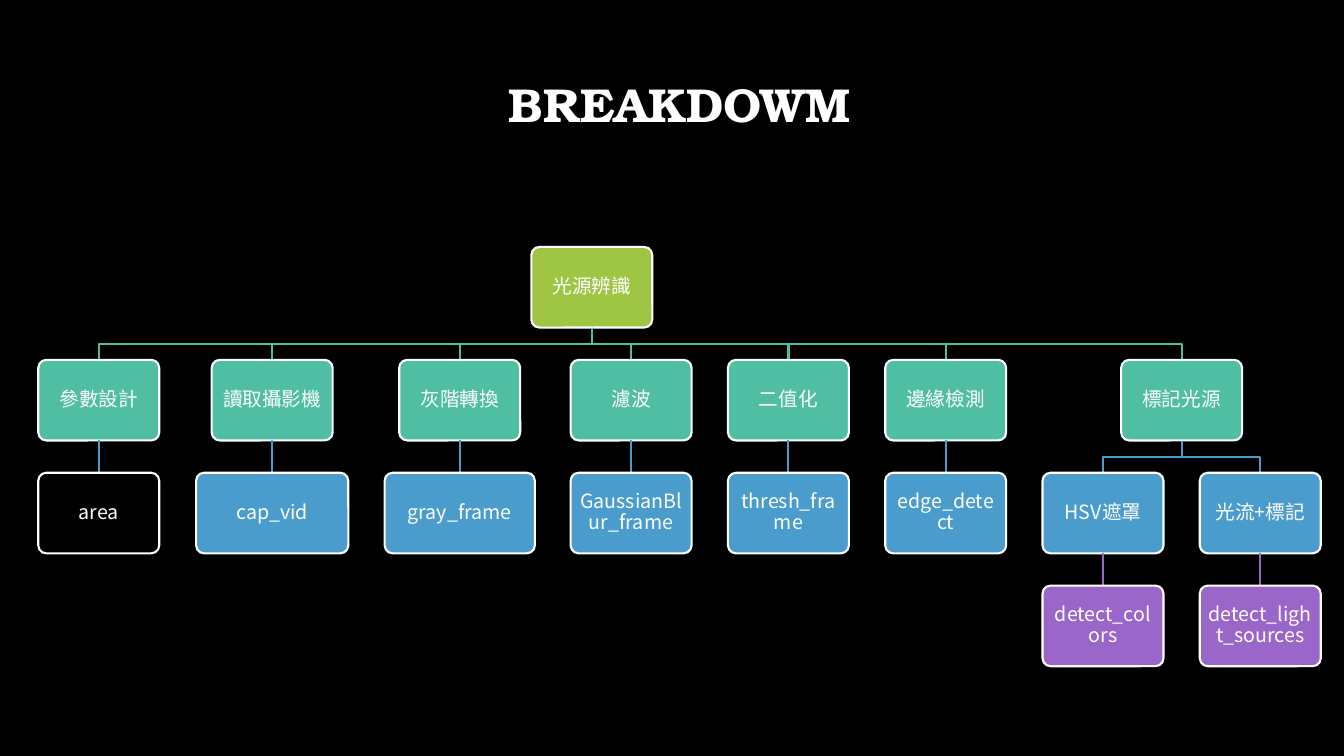
from dataclasses import dataclass

from lxml.etree import SubElement
from pptx import Presentation
from pptx.dml.color import RGBColor
from pptx.enum.shapes import MSO_CONNECTOR, MSO_SHAPE
from pptx.enum.text import MSO_ANCHOR, PP_ALIGN
from pptx.oxml.ns import qn
from pptx.slide import Slide
from pptx.text.text import TextFrame
from pptx.util import Inches, Pt

COLORS = {
    "black": "000000",
    "white": "FFFFFF",
    "green": "9EC544",
    "teal": "50BEA3",
    "blue": "4A9CCC",
    "purple": "9A66CA",
}
LEVEL_COLORS = ["green", "teal", "blue", "purple"]

TITLE_FONT = "TeX Gyre Bonum"
NODE_FONT = "Noto Sans CJK SC"

TREE_TOP = 2.45
NODE_HEIGHT = 0.8
LEVEL_GAP = 0.32
LINE_WIDTH = Pt(1.5)


@dataclass(frozen=True)
class Node:
    label: str
    center: float
    children: tuple["Node", ...] = ()
    width: float = 1.2
    fill: str | None = None


TREE = Node("光源辨識", 5.87, (
    Node("參數設計", 0.98, (Node("area", 0.98, fill="black"),)),
    Node("讀取攝影機", 2.7, (Node("cap_vid", 2.7, width=1.51),)),
    Node("灰階轉換", 4.56, (Node("gray_frame", 4.56, width=1.49),)),
    Node("濾波", 6.26, (Node("GaussianBlur_frame", 6.26),)),
    Node("二值化", 7.82, (Node("thresh_frame", 7.82),)),
    Node("邊緣檢測", 9.38, (Node("edge_detect", 9.38),)),
    Node("標記光源", 11.72, (
        Node("HSV遮罩", 10.94, (Node("detect_colors", 10.94),)),
        Node("光流+標記", 12.5, (Node("detect_light_sources", 12.5),)),
    )),
))


def rgb(color: str) -> RGBColor:
    return RGBColor.from_string(COLORS[color])


def write_text(frame: TextFrame, text: str, font: str, size: int, bold: bool) -> None:
    frame.word_wrap = True
    frame.vertical_anchor = MSO_ANCHOR.MIDDLE
    para = frame.paragraphs[0]
    para.alignment = PP_ALIGN.CENTER
    para.line_spacing = 0.9
    span = para.add_run()
    span.text = text
    for name, value in {"name": font, "size": Pt(size), "bold": bold}.items():
        setattr(span.font, name, value)
    span.font.color.rgb = rgb("white")
    SubElement(span.font._element, qn("a:ea"), typeface=font)


def add_title(page: Slide, text: str) -> None:
    title = page.shapes.title
    bounds = {"left": 1.08, "top": 0.34, "width": 11.32, "height": 1.45}
    for name, value in bounds.items():
        setattr(title, name, Inches(value))
    write_text(title.text_frame, text, TITLE_FONT, 34, True)


def level_top(level: int) -> float:
    return TREE_TOP + level * (NODE_HEIGHT + LEVEL_GAP)


def add_branch(page: Slide, parent: Node, child: Node, level: int) -> None:
    """Join a parent to a child on the given level, bending halfway if needed."""
    bottom = level_top(level)
    top = bottom - LEVEL_GAP
    middle = (top + bottom) / 2
    corners = [(parent.center, top), (parent.center, middle),
               (child.center, middle), (child.center, bottom)]
    points = [(Inches(x), Inches(y)) for x, y in corners]
    if parent.center == child.center:
        branch = page.shapes.add_connector(
            MSO_CONNECTOR.STRAIGHT, *points[0], *points[-1])
        SubElement(branch._element.spPr, qn("a:effectLst"))
    else:
        builder = page.shapes.build_freeform(*points[0])
        builder.add_line_segments(points[1:], close=False)
        branch = builder.convert_to_shape()
        branch.fill.background()
        branch.shadow.inherit = False
    branch.line.color.rgb = rgb(LEVEL_COLORS[level])
    branch.line.width = LINE_WIDTH


def add_node(page: Slide, node: Node, level: int) -> None:
    box = page.shapes.add_shape(
        MSO_SHAPE.ROUNDED_RECTANGLE,
        Inches(node.center - node.width / 2), Inches(level_top(level)),
        Inches(node.width), Inches(NODE_HEIGHT))
    box.adjustments[0] = 0.1
    box.shadow.inherit = False
    box.fill.solid()
    box.fill.fore_color.rgb = rgb(node.fill or LEVEL_COLORS[level])
    box.line.color.rgb = rgb("white")
    box.line.width = LINE_WIDTH
    for side in ("left", "top", "right", "bottom"):
        setattr(box.text_frame, f"margin_{side}", Inches(0.06))
    write_text(box.text_frame, node.label, NODE_FONT, 14, False)


def add_tree(page: Slide, node: Node, level: int = 0) -> None:
    add_node(page, node, level)
    for child in node.children:
        add_branch(page, node, child, level + 1)
        add_tree(page, child, level + 1)


def main() -> None:
    deck = Presentation()
    deck.slide_width = Inches(13.33)
    deck.slide_height = Inches(7.5)
    page = deck.slides.add_slide(deck.slide_layouts.get_by_name("Title Only"))
    page.background.fill.solid()
    page.background.fill.fore_color.rgb = rgb("black")
    add_title(page, "BREAKDOWM")
    add_tree(page, TREE)
    deck.save("out.pptx")


if __name__ == "__main__":
    main()
